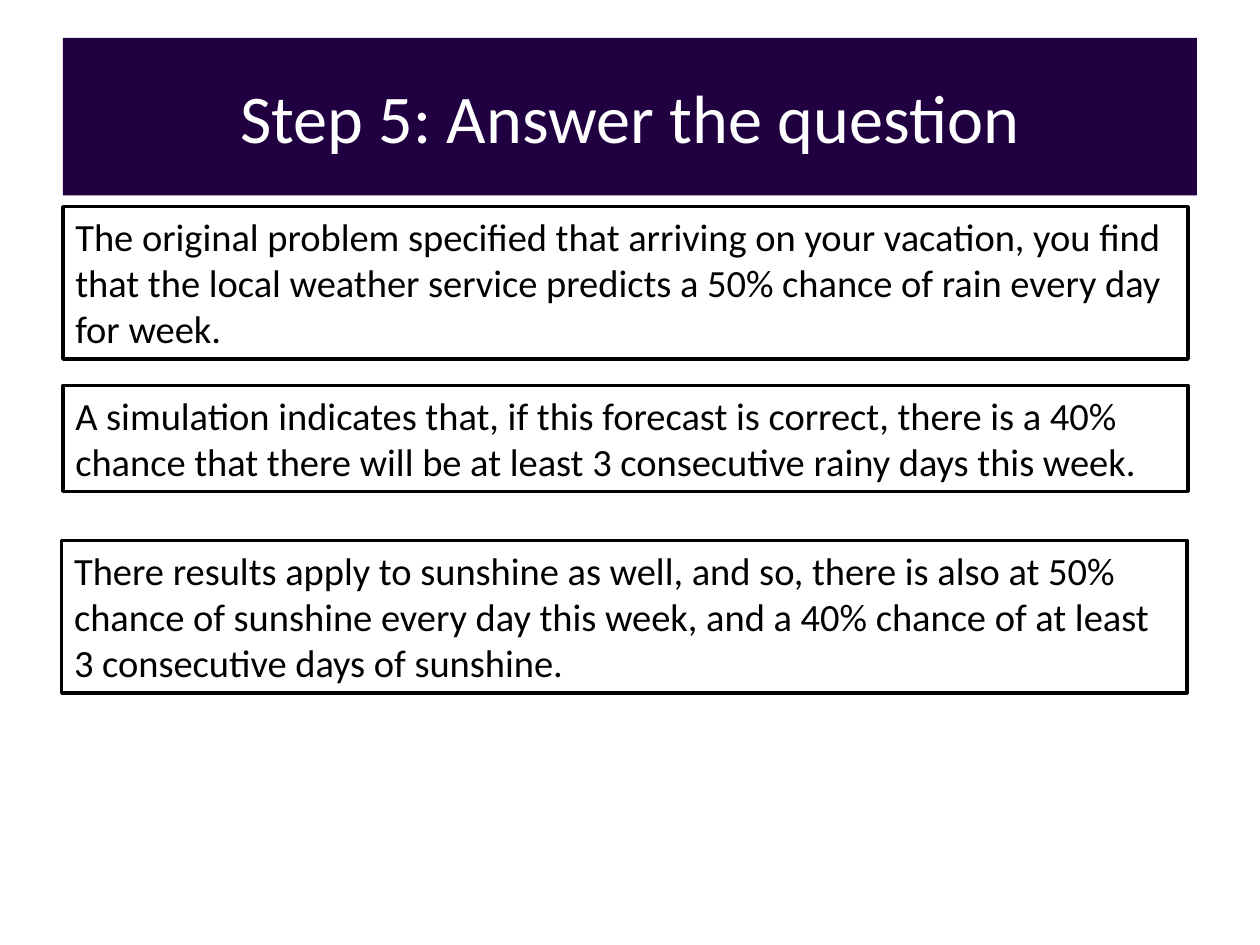
"""Build the slide that answers the rain simulation question."""
from dataclasses import dataclass

from pptx import Presentation
from pptx import util as u
from pptx.dml.color import RGBColor
from pptx.enum import text


@dataclass(frozen=True)
class Theme:
    font: str = "Calibri"
    banner: str = "210042"
    paper: str = "FFFFFF"
    ink: str = "000000"
    title_size: int = 39
    body_size: int = 22
    border: int = 2


theme = Theme()
deck = Presentation()
deck.slide_width, deck.slide_height = u.Inches(10), u.Inches(7.5)
column, row = deck.slide_width / 200, deck.slide_height / 150
slide = deck.slides.add_slide(deck.slide_layouts[6])


def add_panel(words, *, left, top, width, height, size, color, fill, border=None,
              align=text.PP_ALIGN.LEFT, anchor=text.MSO_ANCHOR.TOP,
              fit=text.MSO_AUTO_SIZE.NONE):
    panel = slide.shapes.add_textbox(
        round(left * column), round(top * row), round(width * column), round(height * row))
    panel.fill.solid()
    panel.fill.fore_color.rgb = RGBColor.from_string(fill)
    if border:
        panel.line.color.rgb = RGBColor.from_string(border)
        panel.line.width = u.Pt(theme.border)
    frame = panel.text_frame
    frame.word_wrap = True
    frame.auto_size = fit
    frame.vertical_anchor = anchor
    paragraph = frame.paragraphs[0]
    paragraph.alignment = align
    run = paragraph.add_run()
    run.text = words
    run.font.name = theme.font
    run.font.size = u.Pt(size)
    run.font.color.rgb = RGBColor.from_string(color)


add_panel("Step 5: Answer the question", left=10, top=6, width=180, height=25,
          size=theme.title_size, color=theme.paper, fill=theme.banner,
          align=text.PP_ALIGN.CENTER, anchor=text.MSO_ANCHOR.MIDDLE)

statements = [
    (10, 32.8, 24.2, "The original problem specified that arriving on your vacation, you find "
                     "that the local weather service predicts a 50% chance of rain every day "
                     "for week."),
    (10, 61.2, 16.8, "A simulation indicates that, if this forecast is correct, there is a 40% "
                     "chance that there will be at least 3 consecutive rainy days this week."),
    (9.8, 85.8, 24.2, "There results apply to sunshine as well, and so, there is also at 50% "
                      "chance of sunshine every day this week, and a 40% chance of at least "
                      "3 consecutive days of sunshine."),
]
for left, top, height, statement in statements:
    add_panel(statement, left=left, top=top, width=178.6, height=height,
              size=theme.body_size, color=theme.ink, fill=theme.paper,
              border=theme.ink, fit=text.MSO_AUTO_SIZE.SHAPE_TO_FIT_TEXT)

deck.save("out.pptx")
